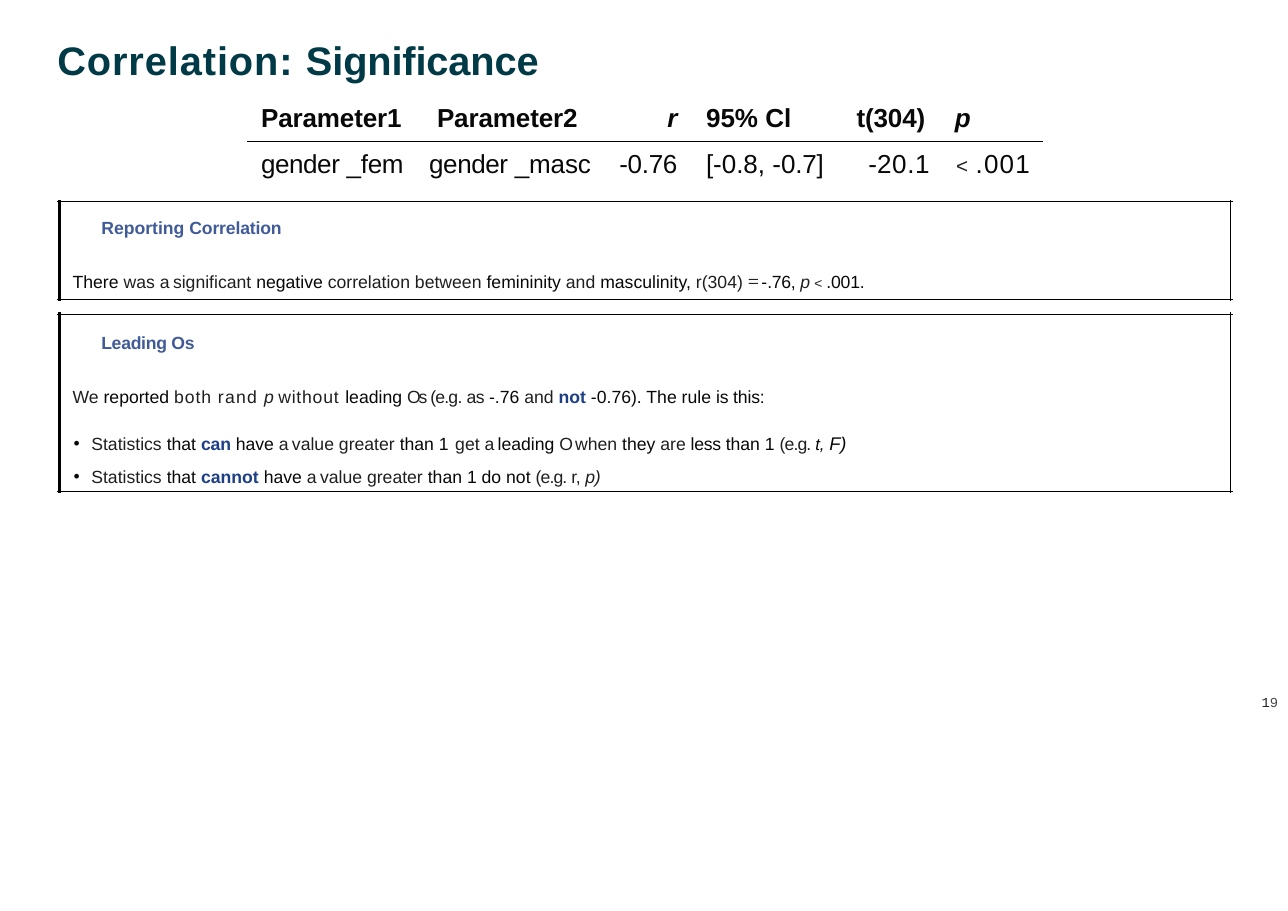
from dataclasses import dataclass
from lxml.etree import SubElement
from pptx import Presentation
from pptx.dml.color import RGBColor
from pptx.enum.shapes import MSO_CONNECTOR as Connector
from pptx.enum.text import MSO_ANCHOR as Anchor, PP_ALIGN as Align
from pptx.oxml import parse_xml
from pptx.oxml.ns import nsdecls, qn
from pptx.util import Inches, Pt


@dataclass
class Style:
    size: float
    color: str
    bold: bool = False
    italic: bool = False
    font: str = "Arial"


INK, SOFT, NAVY, LINE = "080808", "1F1F1F", "1D3F85", "000000"
THEME = {
    "title": Style(26, "003A46", bold=True),
    "head": Style(17, INK, bold=True),
    "head_it": Style(17, INK, bold=True, italic=True),
    "cell": Style(17, INK),
    "less": Style(13.5, SOFT),
    "heading": Style(11.5, "415B99", bold=True),
    "ink": Style(11.5, INK),
    "soft": Style(11.5, SOFT),
    "soft_it": Style(11.5, SOFT, italic=True),
    "key": Style(11.5, NAVY, bold=True),
    "equals": Style(13, INK, font="Times New Roman"),
    "small": Style(9, SOFT),
    "t_it": Style(11, INK, italic=True),
    "f_it": Style(12, INK, italic=True),
    "page": Style(9, SOFT, font="Courier New"),
    "page_end": Style(9, "494949", font="Courier New"),
}
THIN, EDGE, BAR = 0.25, 0.5, 2.16

# Runs are (text, style, letter spacing in points).
TITLE = [("Correlation: ", "title", 0.6), ("Significance", "title", -0.1)]
PAGE = [("1", "page", -0.2), ("9", "page_end", -0.2)]

# Columns are (width in % of the slide, alignment).
COLUMNS = [(13.6, Align.LEFT), (13.94, Align.CENTER), (7.01, Align.RIGHT),
           (11.46, Align.LEFT), (8.04, Align.RIGHT), (7.78, Align.LEFT)]
# Rows are (height in %, top margin in inches, line pitch, cells);
# cells are (left inset, right inset, runs).
ROWS = [
    (3.99, 0, 18.8, [
        (0.13, 0, [("Parameter1", "head", -0.1)]),
        (0, 0.08, [("Parameter2", "head", -0.1)]),
        (0, 0.13, [("r", "head_it", -0.5)]),
        (0.13, 0, [("95% ", "head", 0), ("Cl", "head", -0.2)]),
        (0, 0.16, [("t(304)", "head", -0.1)]),
        (0.11, 0, [("p", "head_it", -0.5)])]),
    (4.35, 0.07, 19.6, [
        (0.13, 0, [("gender ", "cell", -0.3), ("_fem", "cell", -0.2)]),
        (0, 0.03, [("gender ", "cell", -0.3), ("_masc", "cell", -0.1)]),
        (0, 0.13, [("-0.76", "cell", -0.2)]),
        (0.13, 0, [("[-", "cell", -0.1), ("0.8, -", "cell", 0), ("0.7]", "cell", -0.2)]),
        (0, 0.12, [("-", "cell", 0), ("20.1", "cell", 0.4)]),
        (0.12, 0, [("< ", "less", 0.6), (".001", "cell", 0.8)])]),
]

# Callouts are (top, bottom, text top, paragraphs), in % of the slide's height;
# paragraphs are (kind, space before, runs).
CALLOUTS = [
    (22.13, 32.89, 23.82, [
        ("heading", 0, [("Reporting ", "heading", 0), ("Correlation", "heading", -0.1)]),
        ("plain", 20.1, [
            ("There ", "ink", 0), ("was ", "soft", 0), ("a ", "soft", -1),
            ("significant ", "soft", 0), ("negative ", "ink", 0),
            ("correlation between ", "soft", 0), ("femininity ", "ink", 0),
            ("and ", "soft", 0), ("masculinity, ", "ink", 0), ("r(304) ", "soft", 0),
            ("= ", "equals", -1.7), ("-", "ink", -0.3), (".76, ", "ink", -0.2),
            ("p ", "soft_it", -0.4), ("< ", "small", 0), (".001.", "ink", -0.1)])]),
    (34.46, 53.93, 36.4, [
        ("heading", 0, [("Leading Os", "heading", -0.2)]),
        ("plain", 21.4, [
            ("We ", "soft", 0), ("reported ", "ink", 0), ("both ", "soft", 0.6),
            ("rand ", "soft", 0.8), ("p ", "soft_it", -0.4), ("without ", "soft", 0.5),
            ("leading ", "ink", 0), ("Os ", "soft", -1.4), ("(e.g. ", "soft", -0.5),
            ("as ", "soft", -0.3), ("-", "ink", -0.2), (".76 ", "ink", 0),
            ("and ", "soft", 0), ("not ", "key", 0), ("-0.76). The rule ", "ink", 0),
            ("is this:", "ink", -0.1)]),
        ("bullet", 17, [
            ("Statistics ", "soft", 0), ("that ", "ink", 0), ("can ", "key", -0.1),
            ("have ", "ink", 0), ("a ", "soft", -1.1), ("value greater ", "soft", 0),
            ("than ", "ink", 0), ("1 ", "ink", 0.5), ("get ", "soft", 0),
            ("a ", "soft", -1.1), ("leading ", "ink", 0), ("O ", "soft", -1.9),
            ("when ", "soft", 0), ("they ", "ink", 0), ("are ", "soft", 0),
            ("less ", "ink", -0.2), ("than 1 ", "ink", 0), ("(e.g. ", "soft", -0.6),
            ("t, ", "t_it", 0), ("F)", "f_it", -0.2)]),
        ("bullet", 7.5, [
            ("Statistics ", "soft", 0), ("that ", "ink", 0), ("cannot ", "key", 0),
            ("have ", "ink", 0), ("a ", "soft", -1), ("value greater ", "soft", 0),
            ("than 1 do not ", "ink", 0), ("(e.g. ", "soft", -0.6),
            ("r, ", "soft", -0.2), ("p)", "soft_it", -0.2)])]),
]
INDENTS = {"heading": (0.39, 0), "plain": (0.13, 0), "bullet": (0.3, -0.16)}
LEFT, RIGHT, OVERHANG = 4.62, 95.55, 0.16
NO_STYLE = "{2D5ABB26-0587-4C30-8999-92F81FD0307C}"

presentation = Presentation()
presentation.slide_width, presentation.slide_height = Inches(11.69), Inches(8.27)
slide = presentation.slides.add_slide(presentation.slide_layouts[6])


def across(percent):
    return round(presentation.slide_width * percent / 100)


def down(percent):
    return round(presentation.slide_height * percent / 100)


def add_runs(paragraph, runs):
    for text, name, spacing in runs:
        style = THEME[name]
        run = paragraph.add_run()
        run.text = text
        font = run.font
        font.name, font.size = style.font, Pt(style.size)
        font.bold, font.italic = style.bold, style.italic
        font.color.rgb = RGBColor.from_string(style.color)
        run._r.get_or_add_rPr().set("spc", str(round(spacing * 100)))


def add_text_frame(left, top, width, height):
    box = slide.shapes.add_textbox(across(left), down(top), across(width), down(height))
    frame = box.text_frame
    frame.word_wrap = True
    frame.margin_left = frame.margin_top = frame.margin_right = frame.margin_bottom = 0
    return frame


def add_line(x1, y1, x2, y2, width):
    line = slide.shapes.add_connector(Connector.STRAIGHT, across(x1), down(y1),
                                      across(x2), down(y2))
    line.line.color.rgb = RGBColor.from_string(LINE)
    line.line.width = Pt(width)
    SubElement(line._element.spPr, qn("a:effectLst"))


def indent(paragraph, kind):
    left, first = INDENTS[kind]
    properties = paragraph._p.get_or_add_pPr()
    properties.set("marL", str(Inches(left)))
    properties.set("indent", str(Inches(first)))
    if kind == "bullet":
        color = SubElement(properties, qn("a:buClr"))
        SubElement(color, qn("a:srgbClr"), val=INK)
        SubElement(properties, qn("a:buFont"), typeface="Arial")
        SubElement(properties, qn("a:buChar"), char="•")


def add_callout(top, bottom, text_top, paragraphs):
    add_line(LEFT, top - OVERHANG, LEFT, bottom + OVERHANG, BAR)
    add_line(RIGHT, top - OVERHANG, RIGHT, bottom + OVERHANG, THIN)
    for y in (top, bottom):
        add_line(LEFT - OVERHANG, y, RIGHT + OVERHANG, y, EDGE)
    frame = add_text_frame(4.53, text_top, 91, bottom - text_top)
    for number, (kind, before, runs) in enumerate(paragraphs):
        paragraph = frame.add_paragraph() if number else frame.paragraphs[0]
        paragraph.space_before = Pt(before)
        indent(paragraph, kind)
        add_runs(paragraph, runs)


def add_results_table():
    width = sum(column[0] for column in COLUMNS)
    height = sum(row[0] for row in ROWS)
    table = slide.shapes.add_table(len(ROWS), len(COLUMNS), across(19.16), down(11.49),
                                   across(width), down(height)).table
    table.first_row = table.horz_banding = False
    table._tbl.tblPr.find(qn("a:tableStyleId")).text = NO_STYLE
    for column, (share, _) in zip(table.columns, COLUMNS):
        column.width = across(share)
    for r, (share, margin_top, pitch, cells) in enumerate(ROWS):
        table.rows[r].height = down(share)
        for c, (left, right, runs) in enumerate(cells):
            cell = table.cell(r, c)
            cell.margin_left, cell.margin_right = Inches(left), Inches(right)
            cell.margin_top, cell.margin_bottom = Inches(margin_top), 0
            cell.vertical_anchor = Anchor.TOP
            cell.fill.background()
            side = "lnT" if r else "lnB"
            cell._tc.get_or_add_tcPr().insert(0, parse_xml(
                f'<a:{side} {nsdecls("a")} w="{Pt(EDGE)}"><a:solidFill>'
                f'<a:srgbClr val="{LINE}"/></a:solidFill></a:{side}>'))
            paragraph = cell.text_frame.paragraphs[0]
            paragraph.alignment = COLUMNS[c][1]
            paragraph.line_spacing = Pt(pitch)
            add_runs(paragraph, runs)


add_results_table()
for callout in CALLOUTS:
    add_callout(*callout)
add_runs(add_text_frame(4.45, 3.93, 45, 5.5).paragraphs[0], TITLE)
add_runs(add_text_frame(97.95, 76.2, 1.8, 2.1).paragraphs[0], PAGE)
presentation.save("out.pptx")
